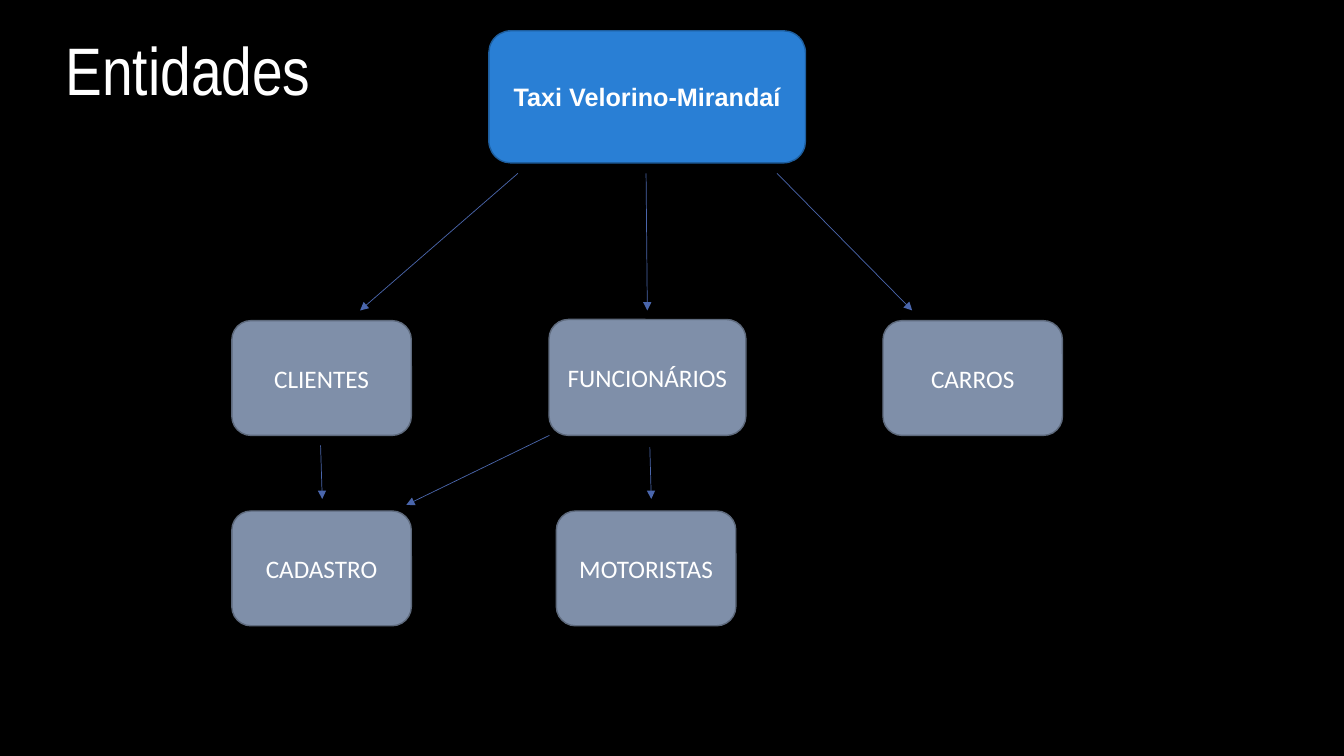
import pptx
import pptx.util
import pptx.dml.color
import pptx.enum.shapes
import pptx.enum.text
import pptx.oxml.ns
from lxml import etree

Pt = pptx.util.Pt
ALIGN = pptx.enum.text.PP_ALIGN
ANCHOR = pptx.enum.text.MSO_ANCHOR
COLORS = {
    "background": "000000",
    "text": "FFFFFF",
    "company": "297FD5",
    "company_edge": "1E5E9E",
    "entity": "7F8FA9",
    "entity_edge": "5E6A7D",
    "arrow": "4A66AC",
}


def rgb(name):
    return pptx.dml.color.RGBColor.from_string(COLORS[name])


deck = pptx.Presentation()
deck.slide_width, deck.slide_height = Pt(960), Pt(540)
slide = deck.slides.add_slide(deck.slide_layouts[5])
slide.background.fill.solid()
slide.background.fill.fore_color.rgb = rgb("background")

# Heading
heading = slide.shapes.title
heading.left, heading.top, heading.width, heading.height = Pt(39.6), Pt(16.6), Pt(217.4), Pt(65.5)
heading.text_frame.text = "Entidades"
heading.text_frame.auto_size = pptx.enum.text.MSO_AUTO_SIZE.NONE
heading.text_frame.vertical_anchor = ANCHOR.TOP
heading_line = heading.text_frame.paragraphs[0]
heading_line.alignment = ALIGN.LEFT
heading_line.font.name = "Arial Narrow"
heading_line.font.size = Pt(48)
heading_line.font.color.rgb = rgb("text")

# Company and its entities: label, style, left, top, width, height
UPPER, LOWER = 229, 365
WIDTH, HEIGHT = 128.2, 82
entities = [
    ("Taxi Velorino-Mirandaí", "company", 349.2, 22, 226.2, 94.4),
    ("CLIENTES", "entity", 165.6, UPPER, WIDTH, HEIGHT),
    ("FUNCIONÁRIOS", "entity", 392.2, 228.2, 140.6, 82.8),
    ("CARROS", "entity", 630.7, UPPER, WIDTH, HEIGHT),
    ("CADASTRO", "entity", 165.6, LOWER, WIDTH, HEIGHT),
    ("MOTORISTAS", "entity", 397.4, LOWER, WIDTH, HEIGHT),
]
for label, style, left, top, width, height in entities:
    box = slide.shapes.add_shape(
        pptx.enum.shapes.MSO_SHAPE.ROUNDED_RECTANGLE,
        Pt(left), Pt(top), Pt(width), Pt(height))
    box.shadow.inherit = False
    box.fill.solid()
    box.fill.fore_color.rgb = rgb(style)
    box.line.color.rgb = rgb(style + "_edge")
    box.line.width = Pt(1)
    box.text_frame.text = label
    box.text_frame.word_wrap = True
    box.text_frame.vertical_anchor = ANCHOR.MIDDLE
    caption = box.text_frame.paragraphs[0]
    caption.alignment = ALIGN.CENTER
    caption.font.name = "Arial" if style == "company" else "Calibri"
    caption.font.size = Pt(18)
    caption.font.bold = style == "company"
    caption.font.color.rgb = rgb("text")

# Arrows between the levels: start x, start y, end x, end y
arrows = [
    (370, 123.8, 257.2, 221.8),
    (461.5, 123.8, 462.4, 221.8),
    (555, 123.8, 651.6, 221.8),
    (229, 318.2, 230.2, 356.4),
    (464.2, 319.6, 465.2, 356.4),
    (392.4, 311, 290.2, 360.7),
]
for ends in arrows:
    arrow = slide.shapes.add_connector(
        pptx.enum.shapes.MSO_CONNECTOR.STRAIGHT, *map(Pt, ends))
    arrow.line.color.rgb = rgb("arrow")
    arrow.line.width = Pt(0.5)
    etree.SubElement(arrow.line._get_or_add_ln(), pptx.oxml.ns.qn("a:tailEnd"), type="triangle")
    etree.SubElement(arrow._element.spPr, pptx.oxml.ns.qn("a:effectLst"))

deck.save("out.pptx")
